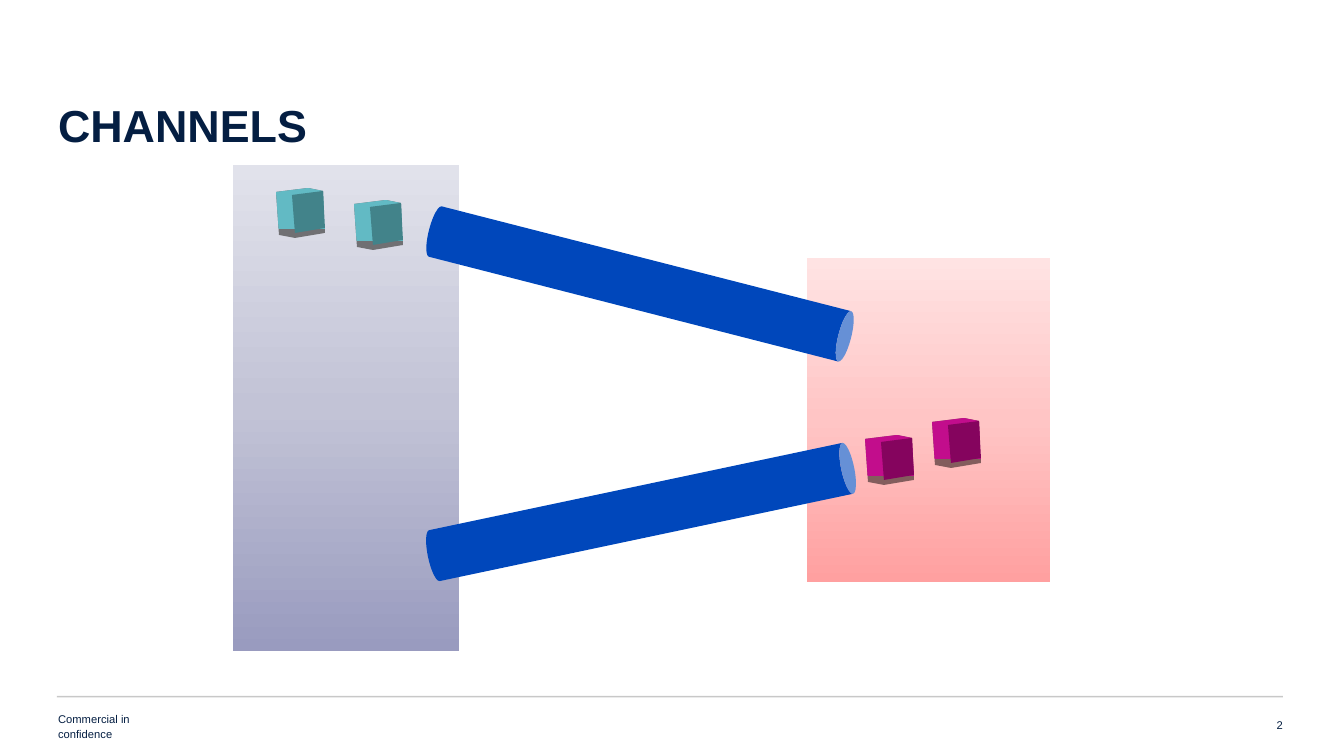
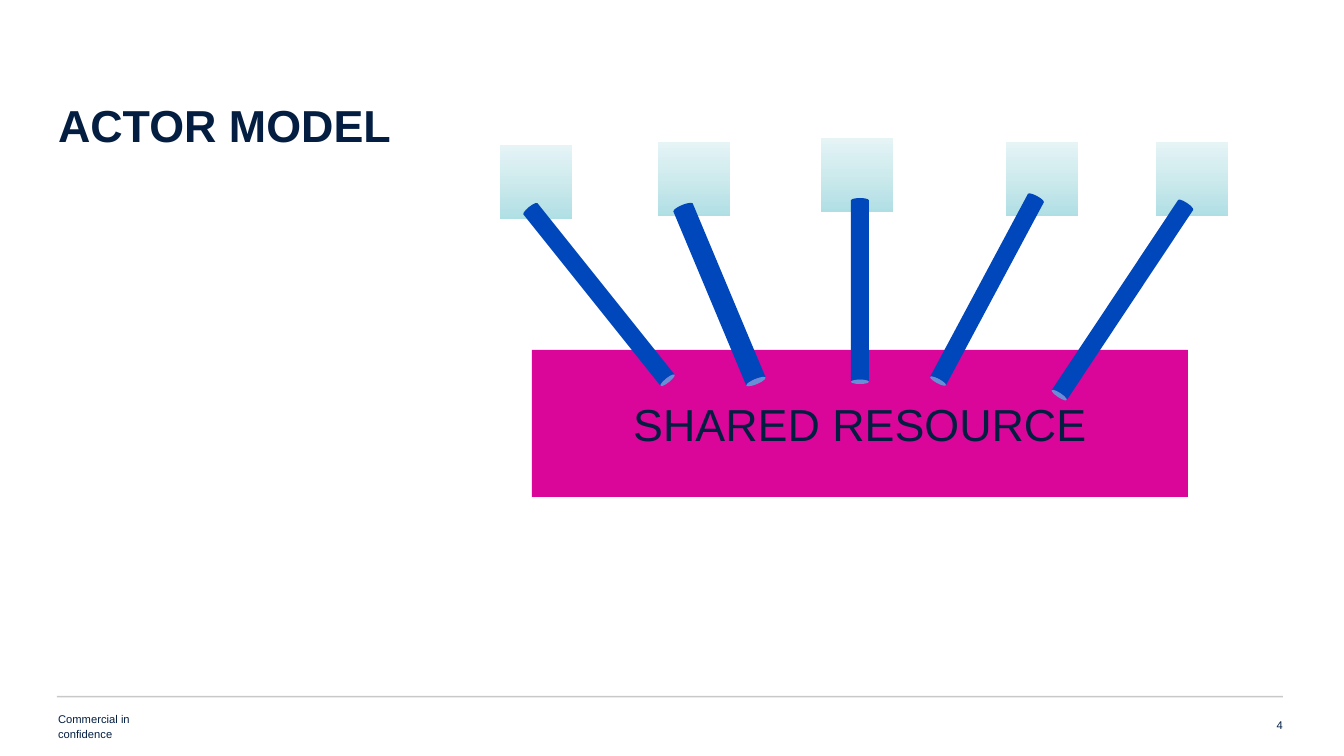
import copy
import math

import pptx
import pptx.util
from pptx.dml.color import RGBColor
from pptx.enum.shapes import MSO_SHAPE
from pptx.enum.text import MSO_ANCHOR, PP_ALIGN
from pptx.oxml.ns import qn

WIDE, HIGH = 1344, 756
SCALE = 12192000 / WIDE
FONT = "Arial"

NAVY = RGBColor(0x04, 0x1E, 0x42)
BLUE = RGBColor(0x00, 0x47, 0xBB)
PINK = RGBColor(0xD9, 0x06, 0x99)
RULE = RGBColor(0xC8, 0xC8, 0xC8)

# Gradients run from the bottom edge to the top edge
ROSE = [RGBColor.from_string(c) for c in ("FFA0A0", "FFC5C5", "FFE3E3")]
SLATE = [RGBColor.from_string(c) for c in ("999BBF", "C2C3D6", "E1E2EB")]
AQUA = [RGBColor.from_string(c) for c in ("AFDFE4", "CDEAED", "E6F4F6")]

# Cube outline and front face; colours are base, side and front
HULL = [(0, 4), (32, 0), (47, 3), (49, 45), (19, 50), (3, 47)]
FRONT = [(16, 7), (47, 3), (49, 40), (19, 45)]
BASE = 0.18
TEAL = [RGBColor.from_string(c) for c in ("707073", "62BAC4", "42838A")]
PLUM = [RGBColor.from_string(c) for c in ("835D5D", "C20D8C", "85045E")]

FOOTER = "Commercial in confidence"
SLIDES = [
    {
        "title": "CHANNELS", "number": "2",
        "panels": [((807, 258, 243, 324), ROSE), ((233, 165, 226, 486), SLATE)],
        "pipes": [((429, 230), (851, 338), 52), ((428, 557), (854, 467), 52)],
        "cubes": [((354, 200), TEAL), ((276, 188), TEAL),
                  ((865, 435), PLUM), ((932, 418), PLUM)],
    },
    {
        "title": "ACTOR MODEL", "number": "4",
        "panels": [((x, y, 72, 74), AQUA) for x, y in
                   ((1156, 142), (1006, 142), (821, 138), (658, 142), (500, 145))],
        "label": ("SHARED RESOURCE", (532, 350, 656, 147)),
        "pipes": [((860, 198), (860, 384), 18), ((529, 207), (669, 382), 18),
                  ((682, 205), (757, 384), 21), ((1037, 196), (937, 383), 18),
                  ((1187, 203), (1058, 397), 18)],
        "cubes": [],
    },
]


def emu(*sizes):
    return [round(size * SCALE) for size in sizes]


def paint(shape, color):
    shape.shadow.inherit = False
    shape.line.fill.background()
    shape.fill.solid()
    shape.fill.fore_color.rgb = color


def fade(shape, marks):
    """Fill upward with (position, colour) marks."""
    shape.fill.gradient()
    shape.fill.gradient_angle = 90
    stops = shape.element.spPr.find(".//" + qn("a:gsLst"))
    while len(stops) < len(marks):
        stops.insert(1, copy.deepcopy(stops[0]))
    for stop, (place, color) in zip(shape.fill.gradient_stops, marks):
        stop.position = place
        stop.color.rgb = color


def block(slide, box, color, kind=MSO_SHAPE.RECTANGLE):
    shape = slide.shapes.add_shape(kind, *emu(*box))
    paint(shape, color)
    return shape


def pipe(slide, start, end, width):
    """Lay a can whose open end faces the end point."""
    dx, dy = end[0] - start[0], end[1] - start[1]
    length = math.hypot(dx, dy)
    left = (start[0] + end[0] - width) / 2
    top = (start[1] + end[1] - length) / 2
    can = block(slide, (left, top, width, length), BLUE, MSO_SHAPE.CAN)
    can.rotation = math.degrees(math.atan2(dx, -dy))


def facet(slide, origin, corners, color):
    points = [(origin[0] + x, origin[1] + y) for x, y in corners]
    pen = slide.shapes.build_freeform(*points[0], scale=SCALE)
    pen.add_line_segments(points[1:], close=True)
    shape = pen.convert_to_shape()
    paint(shape, color)
    return shape


def cube(slide, origin, colors):
    base, side, front = colors
    hull = facet(slide, origin, HULL, side)
    fade(hull, [(0, base), (BASE, base), (BASE, side), (1, side)])
    facet(slide, origin, FRONT, front)


def write(shape, text, size, align=PP_ALIGN.LEFT, anchor=MSO_ANCHOR.MIDDLE,
          bold=False, pitch=1.0):
    frame = shape.text_frame
    frame.text = text
    frame.word_wrap = True
    frame.vertical_anchor = anchor
    frame.margin_left = frame.margin_right = 0
    frame.margin_top = frame.margin_bottom = 0
    line = frame.paragraphs[0]
    line.alignment = align
    line.line_spacing = pitch
    font = line.runs[0].font
    font.name, font.size, font.bold = FONT, pptx.util.Pt(size), bold
    font.color.rgb = NAVY


def start(deck, title, number):
    """Add a slide with the shared title, rule and footer."""
    slide = deck.slides.add_slide(deck.slide_layouts[5])
    head = slide.shapes.title
    head.left, head.top, head.width, head.height = emu(58, 98, 583, 104)
    write(head, title, 32, anchor=MSO_ANCHOR.TOP, bold=True)
    block(slide, (57, 696, 1226, 1.5), RULE)
    for text, box, align, pitch in (
        (number, (1130, 716, 153, 18), PP_ALIGN.RIGHT, 1.0),
        (FOOTER, (58, 716, 121, 19), PP_ALIGN.LEFT, 1.1),
    ):
        note = slide.shapes.add_textbox(*emu(*box))
        write(note, text, 8, align, pitch=pitch)
    return slide


def main():
    deck = pptx.Presentation()
    deck.slide_width, deck.slide_height = emu(WIDE, HIGH)
    for data in SLIDES:
        slide = start(deck, data["title"], data["number"])
        for box, colors in data["panels"]:
            fade(block(slide, box, colors[0]), list(zip((0, 0.5, 1), colors)))
        if "label" in data:
            text, box = data["label"]
            write(block(slide, box, PINK), text, 32, PP_ALIGN.CENTER)
        for tail, tip, width in data["pipes"]:
            pipe(slide, tail, tip, width)
        for origin, colors in data["cubes"]:
            cube(slide, origin, colors)
    deck.save("out.pptx")


if __name__ == "__main__":
    main()
